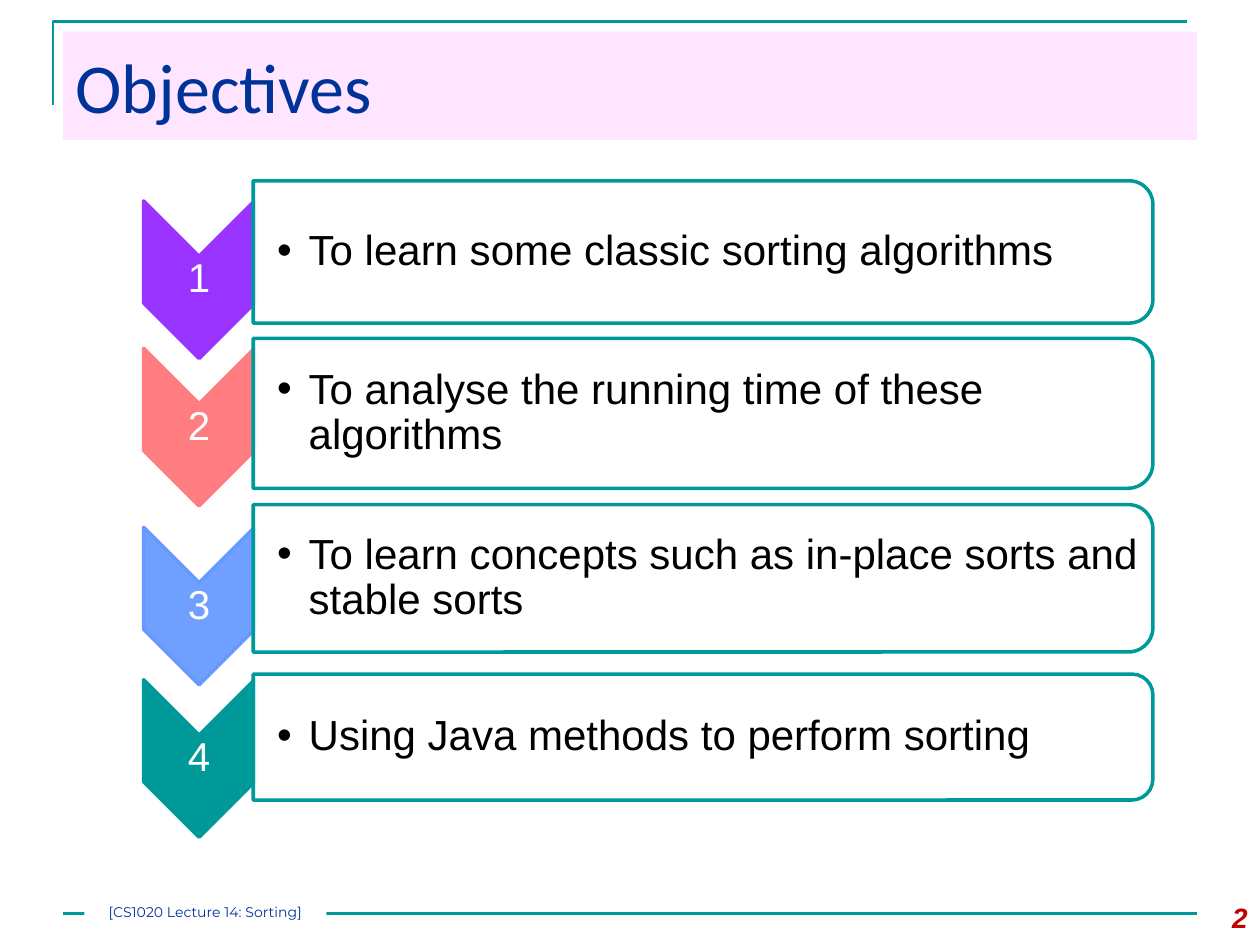
from lxml import etree
from pptx import Presentation
from pptx import util as u
from pptx.dml.color import RGBColor
from pptx.enum import shapes, text
from pptx.oxml.ns import qn

COLORS = {
    "teal": "009999", "navy": "003399", "pink": "FF99FF", "red": "C00000",
    "violet": "9933FF", "coral": "FF7C80", "blue": "70A0FF",
    "blue edge": "6699FF", "white": "FFFFFF", "black": "000000",
}
TITLE = "Objectives"
FOOTER = "[CS1020 Lecture 14: Sorting]"
PAGE_NUMBER = "2"

# text, chevron fill, chevron edge, chevron middle, panel middle, panel height
OBJECTIVES = [
    ("To learn some classic sorting algorithms", "violet", "violet", 2.22, 2.0, 1.13),
    ("To analyse the running time of these algorithms", "coral", "coral", 3.39, 3.28, 1.19),
    ("To learn concepts such as in-place sorts and stable sorts", "blue", "blue edge", 4.81, 4.59, 1.17),
    ("Using Java methods to perform sorting", "teal", "teal", 6.02, 5.85, 1.0),
]
WIDTH, HEIGHT = 10, 7.5
MARGIN = WIDTH * 0.05
CHEVRON_MIDDLE, CHEVRON_LENGTH, CHEVRON_WIDTH = 1.58, 1.25, 0.88
PANEL_LEFT, PANEL_WIDTH = 2.01, 7.14


def rgb(name):
    return RGBColor.from_string(COLORS[name])


def inches(*lengths):
    return [u.Inches(length) for length in lengths]


def paint(shape, fill, line=None, alpha=None):
    shape.shadow.inherit = False
    shape.fill.solid()
    shape.fill.fore_color.rgb = rgb(fill)
    if alpha is not None:
        color = shape.fill._xPr.find(qn("a:solidFill"))[0]
        etree.SubElement(color, qn("a:alpha"), val=str(alpha * 1000))
    if line:
        shape.line.color.rgb = rgb(line)
        shape.line.width = u.Pt(2)
    else:
        shape.line.fill.background()


def write(shape, words, size, font, color, align=text.PP_ALIGN.LEFT,
          anchor=text.MSO_ANCHOR.TOP, insets=(0.1, 0.05, 0.1, 0.05)):
    frame = shape.text_frame
    frame.word_wrap = True
    frame.auto_size = text.MSO_AUTO_SIZE.NONE
    frame.vertical_anchor = anchor
    (frame.margin_left, frame.margin_top,
     frame.margin_right, frame.margin_bottom) = inches(*insets)
    para = frame.paragraphs[0]
    para.alignment = align
    span = para.add_run()
    span.text = words
    span.font.size = u.Pt(size)
    span.font.name = font
    span.font.color.rgb = rgb(color)
    return para


def add_turned(page, kind, center_x, center_y, length, breadth):
    """Add a shape rotated a quarter turn about its centre."""
    shape = page.shapes.add_shape(kind, *inches(
        center_x - length / 2, center_y - breadth / 2, length, breadth))
    shape.rotation = 90
    return shape


def add_bullet(para):
    props = para._p.get_or_add_pPr()
    props.set("marL", str(u.Inches(0.25)))
    props.set("indent", str(-u.Inches(0.25)))
    etree.SubElement(props, qn("a:buFont"), typeface="Arial")
    etree.SubElement(props, qn("a:buChar"), char="•")


def add_frame_lines(page):
    builder = page.shapes.build_freeform(*inches(0.42, 0.83), scale=1.0)
    builder.add_line_segments(
        [inches(0.42, 0.17), inches(9.42, 0.17)], close=False)
    corner = builder.convert_to_shape()
    corner.shadow.inherit = False
    corner.fill.background()
    rule = page.shapes.add_connector(shapes.MSO_CONNECTOR.STRAIGHT, *inches(
        MARGIN, 7.25, WIDTH - MARGIN, 7.25))
    etree.SubElement(rule._element.spPr, qn("a:effectLst"))
    for line in (corner.line, rule.line):
        line.color.rgb = rgb("teal")
        line.width = u.Pt(1.5)


def add_objective(page, number, words, fill, edge, chevron_y, panel_y, panel_height):
    small = 0.02
    chevron = add_turned(page, shapes.MSO_SHAPE.CHEVRON, CHEVRON_MIDDLE,
                         chevron_y, CHEVRON_LENGTH, CHEVRON_WIDTH)
    paint(chevron, fill, edge)
    box = page.shapes.add_textbox(*inches(
        CHEVRON_MIDDLE - CHEVRON_WIDTH / 2, chevron_y - 0.19, CHEVRON_WIDTH, 0.38))
    para = write(box, str(number), 23, "Arial", "white", text.PP_ALIGN.CENTER,
                 text.MSO_ANCHOR.MIDDLE, [small] * 4)
    para.line_spacing = 0.9

    panel = add_turned(page, shapes.MSO_SHAPE.ROUND_2_SAME_RECTANGLE,
                       PANEL_LEFT + PANEL_WIDTH / 2, panel_y,
                       panel_height, PANEL_WIDTH)
    paint(panel, "white", "teal", alpha=90)
    text_height = panel_height - 0.11
    box = page.shapes.add_textbox(*inches(
        PANEL_LEFT, panel_y - text_height / 2, PANEL_WIDTH - 0.06, text_height))
    para = write(box, words, 24, "Arial", "black", anchor=text.MSO_ANCHOR.MIDDLE,
                 insets=(0.19, small, small, small))
    para.line_spacing = 0.9
    add_bullet(para)


def main():
    deck = Presentation()
    deck.slide_width, deck.slide_height = inches(WIDTH, HEIGHT)
    page = deck.slides.add_slide(deck.slide_layouts[5])
    add_frame_lines(page)

    title = page.shapes.title
    title.left, title.top, title.width, title.height = inches(
        MARGIN, 0.25, WIDTH - 2 * MARGIN, 0.86)
    title.fill.solid()
    paint(title, "pink", alpha=25)
    write(title, TITLE, 40, "Calibri", "navy", anchor=text.MSO_ANCHOR.MIDDLE)

    for number, objective in enumerate(OBJECTIVES, 1):
        add_objective(page, number, *objective)

    footer = page.shapes.add_shape(
        shapes.MSO_SHAPE.RECTANGLE, *inches(0.67, 7.17, 1.92, 0.17))
    paint(footer, "white")
    write(footer, FOOTER, 8, "Montserrat", "navy", text.PP_ALIGN.CENTER,
          insets=[0] * 4)
    corner = page.shapes.add_textbox(*inches(9.33, 7.1, 0.67, 0.4))
    para = write(corner, PAGE_NUMBER, 16, "Arial", "red", text.PP_ALIGN.RIGHT)
    para.runs[0].font.bold = para.runs[0].font.italic = True
    deck.save("out.pptx")


if __name__ == "__main__":
    main()
